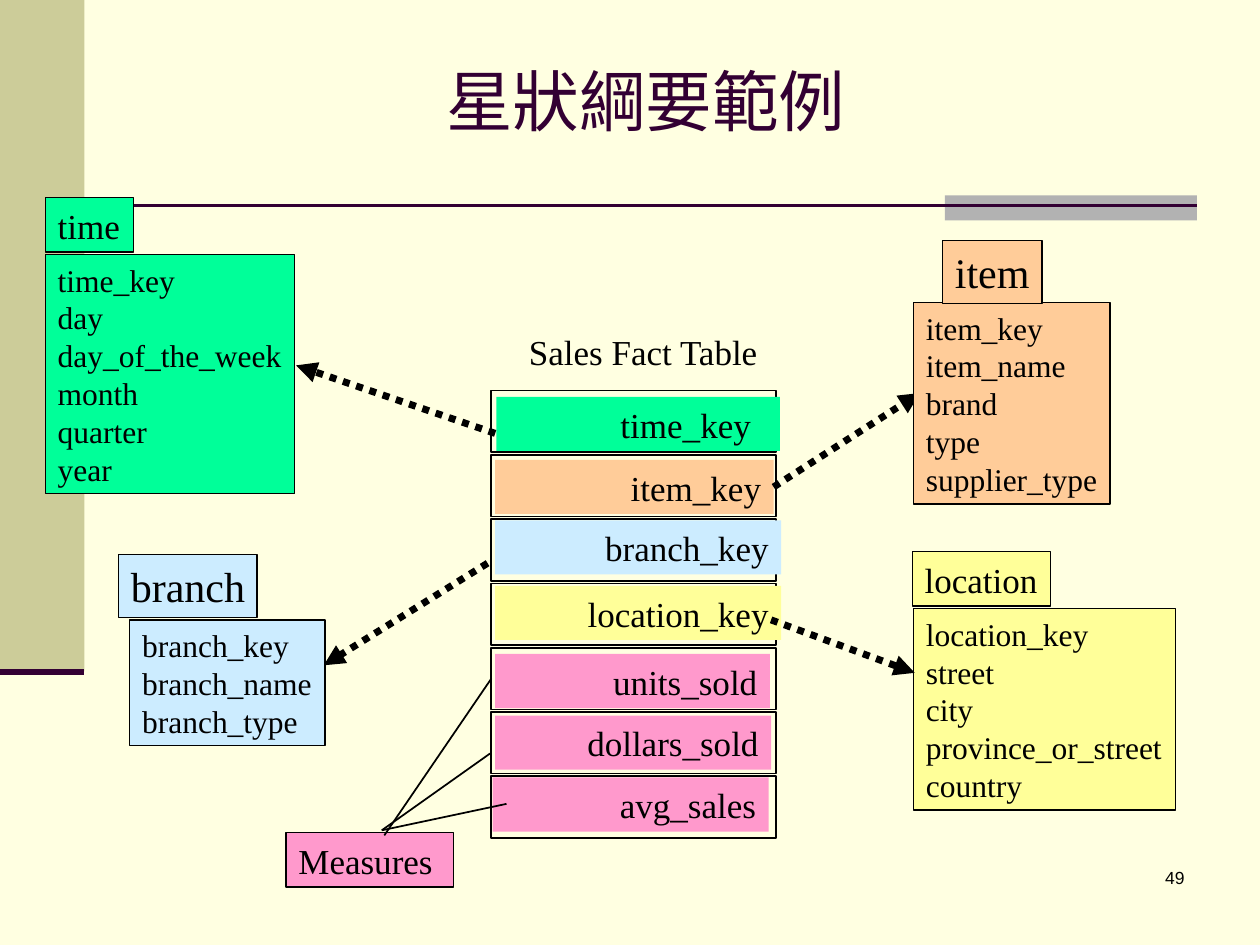
from dataclasses import dataclass

from lxml import etree
from pptx import Presentation
from pptx.dml.color import RGBColor
from pptx.enum.dml import MSO_LINE
from pptx.enum.shapes import MSO_CONNECTOR, MSO_SHAPE
from pptx.enum.text import MSO_ANCHOR, MSO_AUTO_SIZE, PP_ALIGN
from pptx.oxml.ns import qn
from pptx.util import Inches, Pt

RECTANGLE = MSO_SHAPE.RECTANGLE
STRAIGHT = MSO_CONNECTOR.STRAIGHT
DOTTED = MSO_LINE.ROUND_DOT
LEFT, CENTER, RIGHT = PP_ALIGN.LEFT, PP_ALIGN.CENTER, PP_ALIGN.RIGHT
TOP, MIDDLE = MSO_ANCHOR.TOP, MSO_ANCHOR.MIDDLE
FIXED_SIZE = MSO_AUTO_SIZE.NONE
LEFT_SITE, RIGHT_SITE = 1, 3

SERIF = "Times New Roman"
BLACK, PLUM = "000000", "330033"
GREEN, ORANGE, BLUE, YELLOW, PINK = "00FF99", "FFCC99", "CCECFF", "FFFF99", "FF99CC"
ROW_LEFT, ROW_TOP, ROW_WIDTH, ROW_HEIGHT, ROW_STEP = 3.9, 3.1, 2.26, 0.49, 0.51


@dataclass
class Box:
    left: float
    top: float
    width: float
    height: float


@dataclass
class Dimension:
    name: str
    name_box: Box
    name_size: int
    fields: list[str]
    field_box: Box
    fill: str


@dataclass
class FactRow:
    name: str
    box: Box
    fill: str
    right_inset: float = 0.1


@dataclass
class Link:
    start: tuple[float, float]
    end: tuple[float, float]


TIME = Dimension(
    "time", Box(0.36, 1.57, 0.7, 0.43), 20,
    ["time_key", "day", "day_of_the_week", "month", "quarter", "year"],
    Box(0.36, 2.02, 1.98, 1.9), GREEN)
LOCATION = Dimension(
    "location", Box(7.24, 4.38, 1.1, 0.43), 20,
    ["location_key", "street", "city", "province_or_street", "country"],
    Box(7.25, 4.83, 2.08, 1.6), YELLOW)
ITEM = Dimension(
    "item", Box(7.48, 1.91, 0.79, 0.5), 24,
    ["item_key", "item_name", "brand", "type", "supplier_type"],
    Box(7.25, 2.4, 1.56, 1.6), ORANGE)
BRANCH = Dimension(
    "branch", Box(0.94, 4.4, 1.1, 0.5), 24,
    ["branch_key", "branch_name", "branch_type"],
    Box(1.03, 4.92, 1.55, 1), BLUE)

FACT_ROWS = [
    FactRow("time_key", Box(3.94, 3.15, 2.25, 0.43), GREEN, 0.23),
    FactRow("item_key", Box(3.93, 3.65, 2.21, 0.43), ORANGE),
    FactRow("branch_key", Box(3.93, 4.13, 2.27, 0.43), BLUE),
    FactRow("location_key", Box(3.93, 4.65, 2.27, 0.43), YELLOW),
    FactRow("units_sold", Box(3.93, 5.19, 2.18, 0.43), PINK),
    FactRow("dollars_sold", Box(3.93, 5.68, 2.19, 0.43), PINK),
    FactRow("avg_sales", Box(3.91, 6.17, 2.19, 0.43), PINK),
]

UNITS_LINK = Link((3.05, 6.63), (3.89, 5.38))
MEASURE_LINKS = [Link((3.03, 6.59), (3.89, 5.98)), Link((3.03, 6.59), (4.02, 6.38))]
ITEM_LINK = Link((6.12, 3.86), (7.3, 3.12))
KEY_LINKS = [
    Link((3.87, 4.47), (2.57, 5.28)),
    Link((3.93, 3.44), (2.35, 2.9)),
    Link((6.12, 4.92), (7.26, 5.34)),
]


def color(value: str) -> RGBColor:
    return RGBColor.from_string(value)


def lengths(box: Box) -> list:
    return [Inches(value) for value in (box.left, box.top, box.width, box.height)]


def apply(target, values: dict) -> None:
    for name, value in values.items():
        setattr(target, name, value)


def write(shape, lines: list[str], size: int, align=LEFT, font=SERIF, text_color=BLACK,
          anchor=TOP, wrap=False, right_inset=0.1) -> None:
    frame = shape.text_frame
    apply(frame, {
        "auto_size": FIXED_SIZE, "word_wrap": wrap, "vertical_anchor": anchor,
        "margin_left": Inches(0.1), "margin_right": Inches(right_inset),
        "margin_top": Inches(0.05), "margin_bottom": Inches(0.05),
    })
    for index, line in enumerate(lines):
        para = frame.add_paragraph() if index else frame.paragraphs[0]
        para.alignment = align
        span = para.add_run()
        span.text = line
        apply(span.font, {"name": font, "size": Pt(size)})
        span.font.color.rgb = color(text_color)


def add_rectangle(page, box: Box, fill: str | None = None, line_width: float = 0):
    shape = page.shapes.add_shape(RECTANGLE, *lengths(box))
    shape.shadow.inherit = False
    if fill:
        shape.fill.solid()
        shape.fill.fore_color.rgb = color(fill)
    else:
        shape.fill.background()
    if line_width:
        shape.line.color.rgb = color(BLACK)
        shape.line.width = Pt(line_width)
    else:
        shape.line.fill.background()
    return shape


def add_line(page, link: Link, width: float, line_color: str = BLACK):
    points = [Inches(value) for value in (*link.start, *link.end)]
    line = page.shapes.add_connector(STRAIGHT, *points)
    line.line.color.rgb = color(line_color)
    line.line.width = Pt(width)
    etree.SubElement(line._element.spPr, qn("a:effectLst"))
    return line


def add_dotted_arrow(page, link: Link):
    arrow = add_line(page, link, 4)
    arrow.line.dash_style = DOTTED
    etree.SubElement(arrow.line._get_or_add_ln(), qn("a:tailEnd"), type="triangle")
    return arrow


def add_dimension(page, dimension: Dimension) -> None:
    fields = add_rectangle(page, dimension.field_box, dimension.fill, 0.75)
    write(fields, dimension.fields, 18)
    name = add_rectangle(page, dimension.name_box, dimension.fill, 0.75)
    write(name, [dimension.name], dimension.name_size)


def add_fact_row(page, index: int, row: FactRow):
    top = ROW_TOP + index * ROW_STEP
    border = add_rectangle(page, Box(ROW_LEFT, top, ROW_WIDTH, ROW_HEIGHT), line_width=1)
    cell = add_rectangle(page, row.box, row.fill)
    write(cell, [row.name], 20, RIGHT, wrap=True, right_inset=row.right_inset)
    return border, cell


def add_label(page, box: Box, text: str, size: int, align=LEFT, font=SERIF) -> None:
    write(page.shapes.add_textbox(*lengths(box)), [text], size, align, font, wrap=True)


def main() -> None:
    deck = Presentation()
    deck.slide_width, deck.slide_height = Inches(10), Inches(7.5)
    page = deck.slides.add_slide(deck.slide_layouts[5])
    page.background.fill.solid()
    page.background.fill.fore_color.rgb = color("FFFFE1")

    add_rectangle(page, Box(0, 0, 0.67, 5.33), "CCCC99")
    add_rectangle(page, Box(7.5, 1.55, 2, 0.2), "B2B2B2")
    add_line(page, Link((0.42, 1.63), (9.5, 1.63)), 1.5, PLUM)
    add_line(page, Link((0, 5.33), (0.67, 5.33)), 3.5, PLUM)

    title = page.shapes.title
    title.left, title.top, title.width, title.height = lengths(Box(0.83, 0.25, 8.59, 1.08))
    write(title, ["星狀綱要範例"], 38, CENTER, "Montserrat", PLUM, MIDDLE, True)
    add_label(page, Box(7.42, 6.83, 2.08, 0.5), "49", 10, RIGHT, "Arial")

    add_dimension(page, TIME)
    add_dimension(page, LOCATION)
    add_label(page, Box(4.1, 2.57, 2.04, 0.43), "Sales Fact Table", 20)
    rows = {row.name: add_fact_row(page, index, row) for index, row in enumerate(FACT_ROWS)}

    measures = add_rectangle(page, Box(2.27, 6.61, 1.33, 0.43), PINK, 0.75)
    write(measures, ["Measures"], 20)
    units_border, _ = rows["units_sold"]
    add_line(page, UNITS_LINK, 1).end_connect(units_border, LEFT_SITE)
    for link in MEASURE_LINKS:
        add_line(page, link, 1)
    for link in KEY_LINKS:
        add_dotted_arrow(page, link)
    _, item_cell = rows["item_key"]
    add_dotted_arrow(page, ITEM_LINK).begin_connect(item_cell, RIGHT_SITE)

    add_dimension(page, ITEM)
    add_dimension(page, BRANCH)
    deck.save("out.pptx")


if __name__ == "__main__":
    main()
